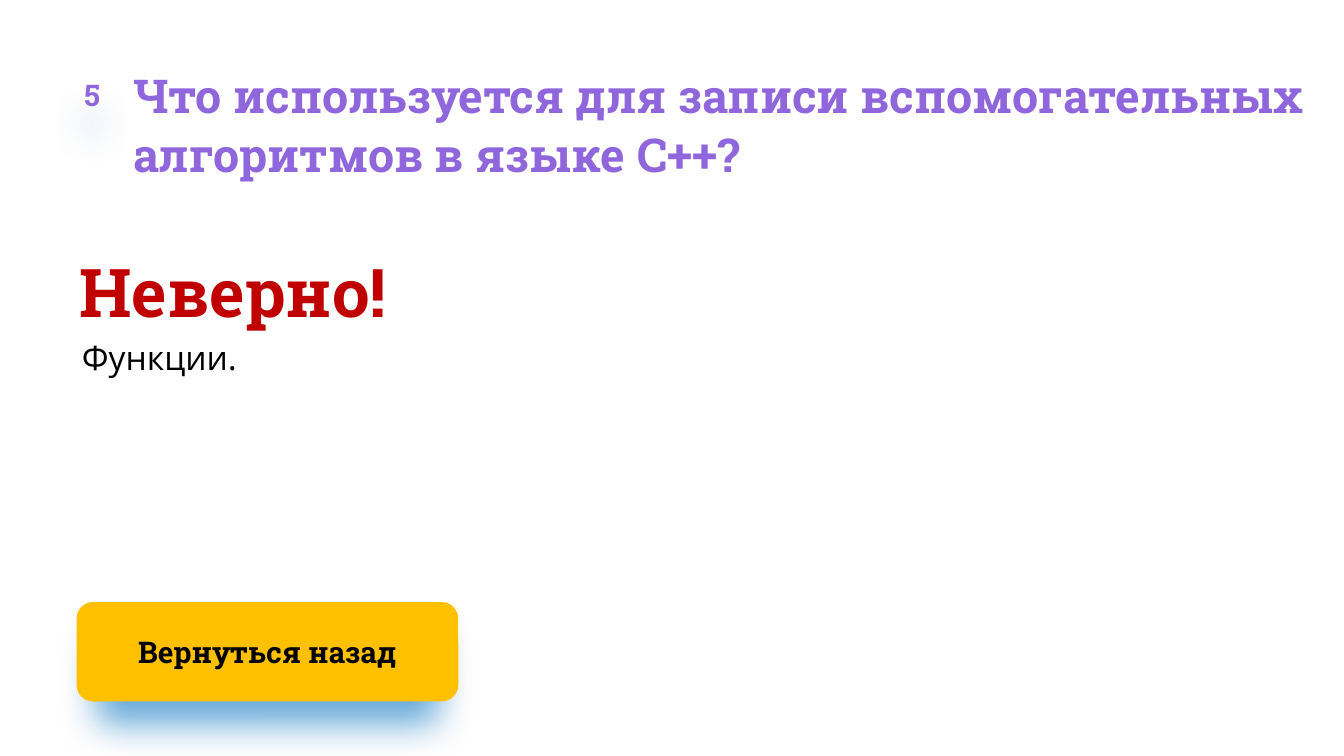
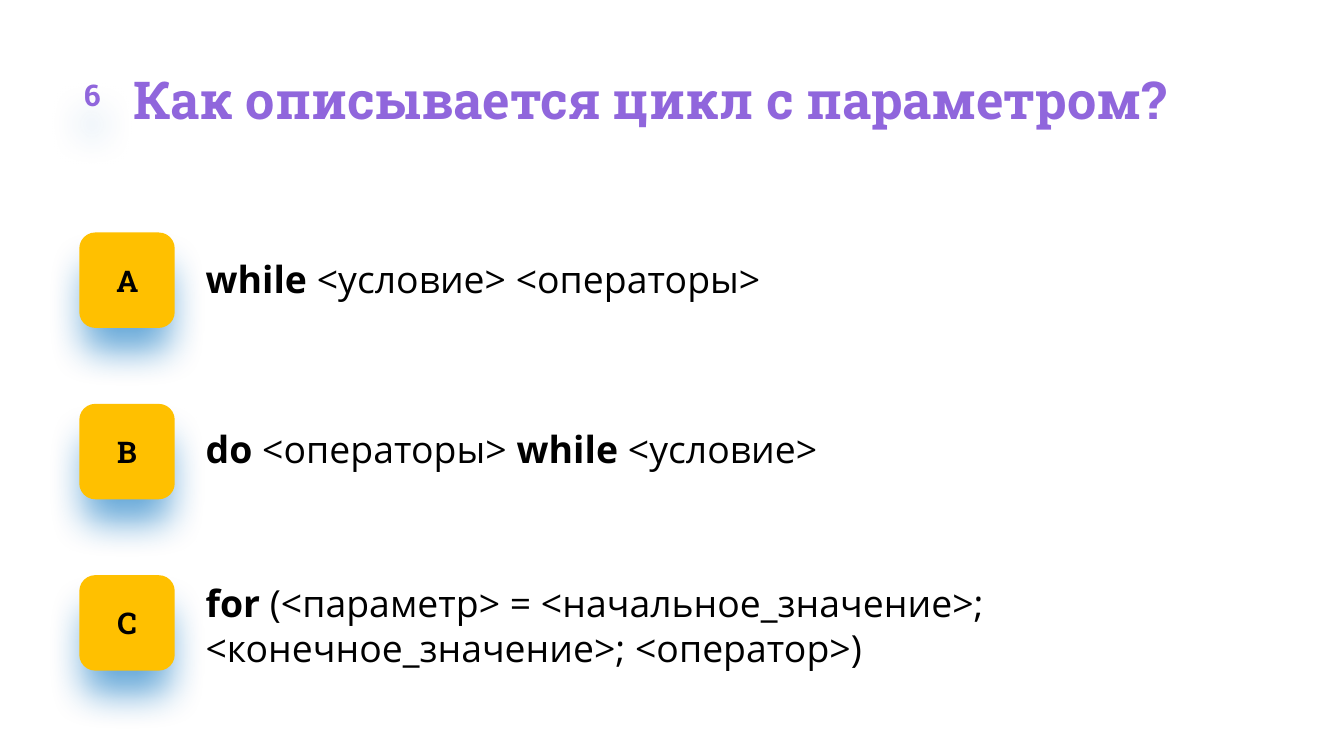
from dataclasses import dataclass

from lxml import etree
from pptx import Presentation
from pptx.dml.color import RGBColor
from pptx.enum.shapes import MSO_SHAPE as SHAPE
from pptx.enum.text import MSO_ANCHOR as ANCHOR, MSO_AUTO_SIZE as AUTO, PP_ALIGN as ALIGN
from pptx.oxml.ns import qn
from pptx.util import Inches, Pt


@dataclass(frozen=True)
class Theme:
    head: str = "Roboto Slab"
    body: str = "Open Sans"
    violet: str = "9066DC"
    amber: str = "FFC000"
    red: str = "C00000"
    black: str = "000000"
    blue: str = "0070C0"
    label_size: int = 16
    note_size: int = 18
    answer_size: int = 20
    verdict_size: int = 36


T = Theme()


def style(r, font, size, color, bold):
    r.font.name = font
    r.font.size = Pt(size)
    r.font.color.rgb = RGBColor.from_string(color)
    r.font.bold = bold


def set_insets(tf, left=0, top=0, right=0, bottom=0):
    tf.margin_left, tf.margin_top = Inches(left), Inches(top)
    tf.margin_right, tf.margin_bottom = Inches(right), Inches(bottom)


def add_shadow(sp):
    effects = etree.SubElement(sp._element.spPr, qn("a:effectLst"))
    shadow = etree.SubElement(
        effects, qn("a:outerShdw"), blurRad=str(Pt(20)), dist=str(Pt(15)),
        dir="5400000", sx="90000", sy="90000", algn="ctr", rotWithShape="0")
    clr = etree.SubElement(shadow, qn("a:srgbClr"), val=T.blue)
    etree.SubElement(clr, qn("a:alpha"), val="60000")


def add_text(s, box, parts, font, size, color, inset=0, spacing=None):
    tf = s.shapes.add_textbox(*map(Inches, box)).text_frame
    tf.word_wrap = True
    tf.auto_size = AUTO.SHAPE_TO_FIT_TEXT
    set_insets(tf, left=inset)
    p = tf.paragraphs[0]
    if spacing:
        p.line_spacing = spacing
    for text, bold in parts:
        r = p.add_run()
        r.text = text
        style(r, font, size, color, bold)


def add_heading(s, box, text, size, color):
    add_text(s, box, [(text, True)], T.head, size, color, spacing=1.06)


def add_tile(s, box, label, color=T.black, fill=T.amber, insets=(0, 0)):
    sp = s.shapes.add_shape(SHAPE.ROUNDED_RECTANGLE, *map(Inches, box))
    if fill:
        sp.fill.solid()
        sp.fill.fore_color.rgb = RGBColor.from_string(fill)
    else:
        sp.fill.background()
    sp.line.fill.background()
    add_shadow(sp)
    tf = sp.text_frame
    tf.word_wrap = True
    tf.vertical_anchor = ANCHOR.MIDDLE
    set_insets(tf, *insets, *insets)
    tf.text = label
    p = tf.paragraphs[0]
    p.alignment = ALIGN.CENTER
    style(p.runs[0], T.head, T.label_size, color, True)


def add_question(prs, number, text, size, height):
    s = prs.slides.add_slide(prs.slide_layouts[6])
    add_heading(s, (0.99, 0.47, 8.81, height), text, size, T.violet)
    add_tile(s, (0.39, 0.41, 0.59, 0.59), number, T.violet, fill=None)
    return s


def add_answers(s, answers):
    first, last, side = 1.73, 4.28, 0.71
    step = (last - first) / (len(answers) - 1)
    for i, (letter, top, width, height, parts) in enumerate(answers):
        add_tile(s, (0.59, first + i * step, side, side), letter)
        add_text(s, (1.39, top, width, height), parts,
                 T.body, T.answer_size, T.black, inset=0.14)


def build_feedback(prs):
    s = add_question(
        prs, "5", "Что используется для записи вспомогательных алгоритмов в языке C++?", 25, 0.87)
    add_heading(s, (0.59, 1.83, 2.8, 0.61), "Неверно!", T.verdict_size, T.red)
    add_text(s, (0.47, 2.51, 7.03, 0.3), [("Функции.", False)],
             T.body, T.note_size, T.black, inset=0.14)
    add_tile(s, (0.57, 4.48, 2.84, 0.74), "Вернуться назад", insets=(0.39, 0.2))


def build_loop_question(prs):
    s = add_question(prs, "6", "Как описывается цикл с параметром?", 28, 0.47)
    add_answers(s, [
        ("А", 1.91, 8.3, 0.34, [("while", True), (" <условие> <операторы>", False)]),
        ("B", 3.17, 8.02, 0.34, [("do ", True), ("<операторы> ", False),
                                 ("while", True), (" <условие>", False)]),
        ("C", 4.32, 8.3, 0.67, [
            ("for ", True),
            ("(<параметр> = <начальное_значение>; <конечное_значение>; <оператор>)", False)]),
    ])


def main():
    prs = Presentation()
    prs.slide_width, prs.slide_height = Inches(10), Inches(10 * 9 / 16)
    build_feedback(prs)
    build_loop_question(prs)
    prs.save("out.pptx")


if __name__ == "__main__":
    main()
